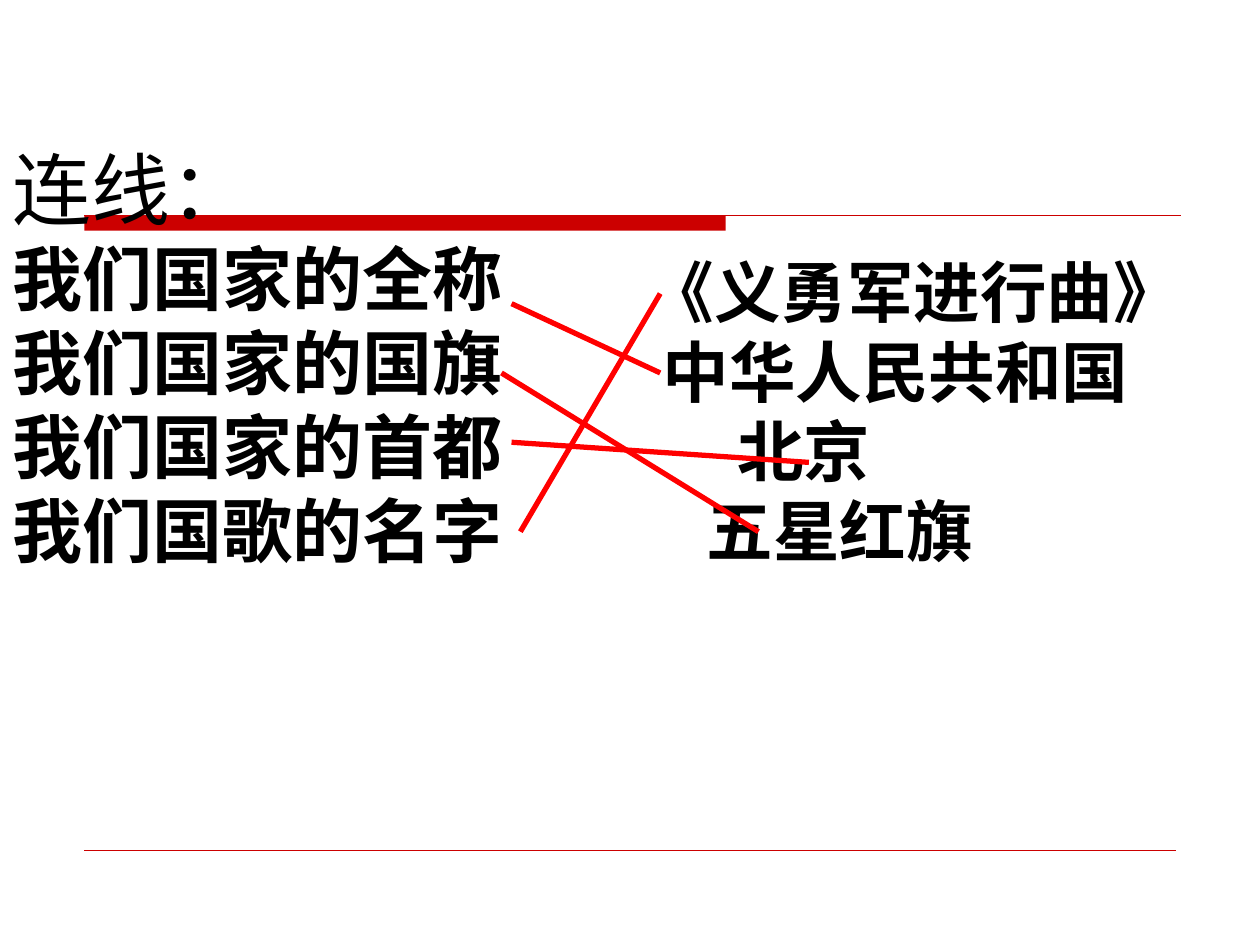
from dataclasses import dataclass

from lxml.etree import SubElement
from pptx import Presentation
from pptx.dml.color import RGBColor
from pptx.enum.dml import MSO_THEME_COLOR
from pptx.enum.lang import MSO_LANGUAGE_ID as Language
from pptx.enum.shapes import MSO_CONNECTOR as Connector, MSO_SHAPE as Preset
from pptx.enum.text import MSO_ANCHOR as Anchor, MSO_AUTO_SIZE as AutoSize, PP_ALIGN as Align
from pptx.oxml.ns import qn
from pptx.util import Inches, Pt

# The grid: 100 columns by 75 rows on a 10 by 7.5 inch page
COLUMNS, ROWS = 100, 75
WIDTH, HEIGHT = Inches(10), Inches(7.5)


@dataclass(frozen=True)
class Theme:
    font: str = "Comic Neue"
    ink: RGBColor = RGBColor(0x00, 0x00, 0x00)
    rule: RGBColor = RGBColor(0xCC, 0x00, 0x00)
    match: RGBColor = RGBColor(0xFF, 0x00, 0x00)
    title_size: int = 45
    question_size: int = 40
    answer_size: int = 38
    title_line: float = 0.75
    footer_line: float = 0.25
    match_line: float = 3


@dataclass(frozen=True)
class Area:
    column: float
    row: float
    columns: float
    rows: float


@dataclass(frozen=True)
class Stroke:
    start: tuple[float, float]
    end: tuple[float, float]


@dataclass(frozen=True)
class Entry:
    text: str
    indent: float = 0  # in grid columns


THEME = Theme()

TITLE = [Entry("连线：")]
QUESTIONS = [Entry("我们国家的全称"), Entry("我们国家的国旗"),
             Entry("我们国家的首都"), Entry("我们国歌的名字")]
ANSWERS = [Entry("《义勇军进行曲》"), Entry("中华人民共和国", 1.2),
           Entry("北京", 7.1), Entry("五星红旗", 4.7)]

MATCHES = [
    Stroke((40.6, 24.1), (52.4, 29.6)),  # full name
    Stroke((39.8, 29.6), (60.2, 42.2)),  # flag
    Stroke((40.6, 35.1), (64.2, 36.7)),  # capital
    Stroke((41.3, 42.2), (52.4, 23.3)),  # anthem
]


def across(columns: float) -> int:
    return round(WIDTH * columns / COLUMNS)


def down(rows: float) -> int:
    return round(HEIGHT * rows / ROWS)


def fill_placeholder(box, area: Area, entries: list[Entry], size: float,
                     bold: bool) -> None:
    box.left, box.top = across(area.column), down(area.row)
    box.width, box.height = across(area.columns), down(area.rows)
    frame = box.text_frame
    frame.text = "\n".join(entry.text for entry in entries)
    frame.word_wrap = True
    frame.auto_size = AutoSize.NONE
    frame.vertical_anchor = Anchor.TOP
    for para, entry in zip(frame.paragraphs, entries):
        para.alignment = Align.LEFT
        para.space_before = Pt(0)
        properties = para._p.get_or_add_pPr()
        properties.set("marL", str(across(entry.indent)))
        properties.set("indent", "0")
        SubElement(properties, qn("a:buNone"))
        for span in para.runs:
            span.font.name = THEME.font
            span.font.size = Pt(size)
            span.font.bold = bold
            span.font.color.rgb = THEME.ink
            span.font.language_id = Language.SIMPLIFIED_CHINESE
            east_asian = SubElement(span._r.get_or_add_rPr(), qn("a:ea"))
            east_asian.set("typeface", THEME.font)


def draw_stroke(page, stroke: Stroke, color: RGBColor, weight: float):
    line = page.shapes.add_connector(
        Connector.STRAIGHT, across(stroke.start[0]), down(stroke.start[1]),
        across(stroke.end[0]), down(stroke.end[1]))
    line.line.color.rgb = color
    line.line.width = Pt(weight)
    SubElement(line._element.spPr, qn("a:effectLst"))
    return line


def draw_band(page, area: Area):
    band = page.shapes.add_shape(Preset.RECTANGLE, across(area.column), down(area.row),
                                 across(area.columns), down(area.rows))
    band.shadow.inherit = False
    band.fill.solid()
    band.fill.fore_color.rgb = THEME.rule
    band.line.fill.background()
    return band


def send_to_back(page, shape) -> None:
    page.shapes._spTree.insert(2, shape._element)


def main() -> None:
    deck = Presentation()
    deck.slide_width, deck.slide_height = WIDTH, HEIGHT
    page = deck.slides.add_slide(deck.slide_layouts.get_by_name("Two Content"))
    page.background.fill.solid()
    page.background.fill.fore_color.theme_color = MSO_THEME_COLOR.BACKGROUND_1

    # Title and the two lists
    title, questions, answers = page.placeholders
    fill_placeholder(title, Area(0, 10.7, 84.3, 8.5), TITLE, THEME.title_size, False)
    fill_placeholder(questions, Area(0, 18.2, 48, 27.7), QUESTIONS,
                     THEME.question_size, True)
    fill_placeholder(answers, Area(50.4, 19.4, 46, 26.4), ANSWERS,
                     THEME.answer_size, True)

    # Red band and rules behind the text
    backdrop = [
        draw_stroke(page, Stroke((6.7, 67.5), (93.3, 67.5)), THEME.rule, THEME.footer_line),
        draw_stroke(page, Stroke((6.7, 17.1), (93.7, 17.1)), THEME.rule, THEME.title_line),
        draw_band(page, Area(6.7, 17.1, 50.9, 1.2)),
    ]
    for shape in backdrop:
        send_to_back(page, shape)

    # Lines that join each question to its answer
    for match in MATCHES:
        draw_stroke(page, match, THEME.match, THEME.match_line)

    deck.save("out.pptx")


if __name__ == "__main__":
    main()
